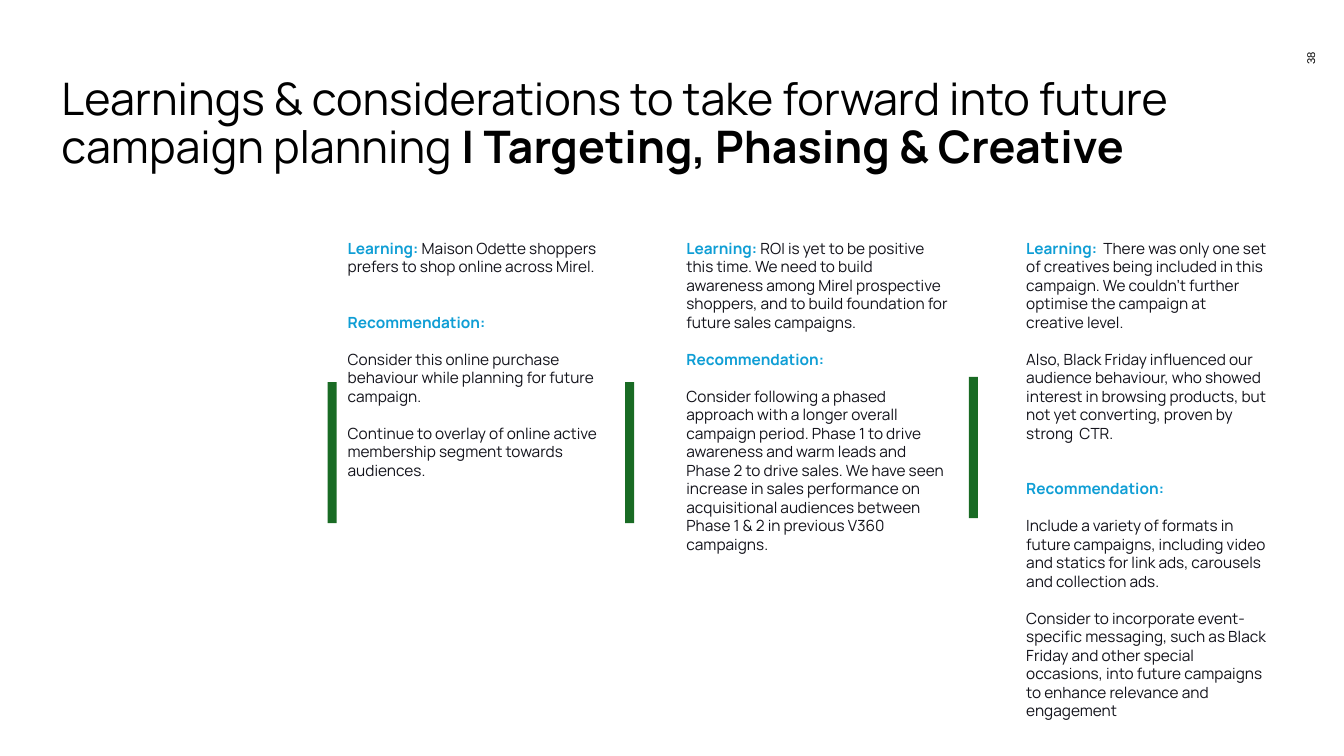
from pptx import Presentation
from pptx.dml.color import RGBColor
from pptx.enum.shapes import MSO_SHAPE
from pptx.enum.text import MSO_ANCHOR, PP_ALIGN
from pptx.util import Inches, Pt

BLACK, INK, BLUE, GREEN = "000000", "12121A", "0F9ED5", "196B24"
BLANK_LINE = 13.2
RECOMMENDATION = "Recommendation:"

DIVIDERS = [(3.25, 3.79), (6.2, 3.79), (9.61, 3.74)]

# Each paragraph: blank lines above it, highlighted label, body wording
COLUMNS = [
    ((3.35, 2.27, 2.83, 4.91), [
        (0, "Learning: ", "Maison Odette shoppers prefers to shop online across Mirel."),
        (2, RECOMMENDATION, ""),
        (1, "", "Consider this online purchase behaviour while planning for "
                "future campaign."),
        (1, "", "Continue to overlay of online active membership segment "
                "towards audiences."),
    ]),
    ((6.71, 2.27, 2.83, 4.08), [
        (0, "Learning: ", "ROI is yet to be positive this time. We need to build "
                          "awareness among Mirel prospective shoppers, and to build "
                          "foundation for future sales campaigns."),
        (1, RECOMMENDATION, ""),
        (1, "", "Consider following a phased approach with a longer overall "
                "campaign period. Phase 1 to drive awareness and warm leads and "
                "Phase 2 to drive sales. We have seen increase in sales "
                "performance on acquisitional audiences between Phase 1 & 2 in "
                "previous V360 campaigns."),
    ]),
    ((10.08, 2.27, 2.58, 4.55), [
        (0, "Learning:  ", "There was only one set of creatives being included in "
                           "this campaign. We couldn’t further optimise the campaign "
                           "at creative level."),
        (1, "", "Also, Black Friday influenced our audience behaviour, who showed "
                "interest in browsing products, but not yet converting, proven by "
                "strong  CTR."),
        (2, RECOMMENDATION, ""),
        (1, "", "Include a variety of formats in future campaigns, including "
                "video and statics for link ads, carousels and collection ads."),
        (1, "", "Consider to incorporate event-specific messaging, such as Black "
                "Friday and other special occasions, into future campaigns to "
                "enhance relevance and engagement"),
    ]),
]


def color(hex_code):
    """Turn a hex string into a colour."""
    return RGBColor.from_string(hex_code)


def add_run(paragraph, text, size=11, font="Manrope", ink=INK, bold=False):
    """Append formatted text to a paragraph."""
    run = paragraph.add_run()
    run.text = text
    run.font.size = Pt(size)
    run.font.name = font
    run.font.bold = bold
    run.font.color.rgb = color(ink)


def add_frame(slide, area, inset=0, anchor=MSO_ANCHOR.TOP, rotation=0):
    """Add a wrapping text box and return its text frame."""
    box = slide.shapes.add_textbox(*map(Inches, area))
    box.rotation = rotation
    frame = box.text_frame
    frame.word_wrap = True
    frame.vertical_anchor = anchor
    frame.margin_left = frame.margin_right = Inches(inset)
    frame.margin_top = frame.margin_bottom = Inches(inset)
    return frame


def add_title(slide):
    """Add the two-weight heading."""
    heading = add_frame(slide, (0.61, 0.76, 12.06, 1.45)).paragraphs[0]
    heading.line_spacing = 0.9
    add_run(heading, "Learnings & considerations to take forward into future "
                     "campaign planning ", size=32, ink=BLACK)
    add_run(heading, "| Targeting, Phasing & Creative", size=32, ink=BLACK, bold=True)


def add_page_number(slide):
    """Add the page number turned on its side."""
    frame = add_frame(slide, (12.75, 0.7, 0.5, 0.13),
                      anchor=MSO_ANCHOR.MIDDLE, rotation=270)
    number = frame.paragraphs[0]
    number.alignment = PP_ALIGN.RIGHT
    add_run(number, "38", size=8, font="Arial", ink=BLACK)


def add_divider(slide, left, top):
    """Add a green upright bar beside a column."""
    bar = slide.shapes.add_shape(MSO_SHAPE.RECTANGLE, Inches(left), Inches(top),
                                 Inches(0.09), Inches(1.4))
    bar.shadow.inherit = False
    bar.fill.solid()
    bar.fill.fore_color.rgb = color(GREEN)
    bar.line.fill.background()


def add_column(slide, area, entries):
    """Add one column of learnings and recommendations."""
    frame = add_frame(slide, area, inset=0.1)
    for index, (gap_lines, label, wording) in enumerate(entries):
        entry = frame.add_paragraph() if index else frame.paragraphs[0]
        if gap_lines:
            entry.space_before = Pt(gap_lines * BLANK_LINE)
        if label:
            add_run(entry, label, ink=BLUE, bold=True)
        if wording:
            add_run(entry, wording)


def main():
    """Build and save the slide."""
    deck = Presentation()
    deck.slide_width, deck.slide_height = Inches(13.33), Inches(7.5)
    slide = deck.slides.add_slide(deck.slide_layouts[6])
    add_page_number(slide)
    add_title(slide)
    for left, top in DIVIDERS:
        add_divider(slide, left, top)
    for area, entries in COLUMNS:
        add_column(slide, area, entries)
    deck.save("out.pptx")


if __name__ == "__main__":
    main()
